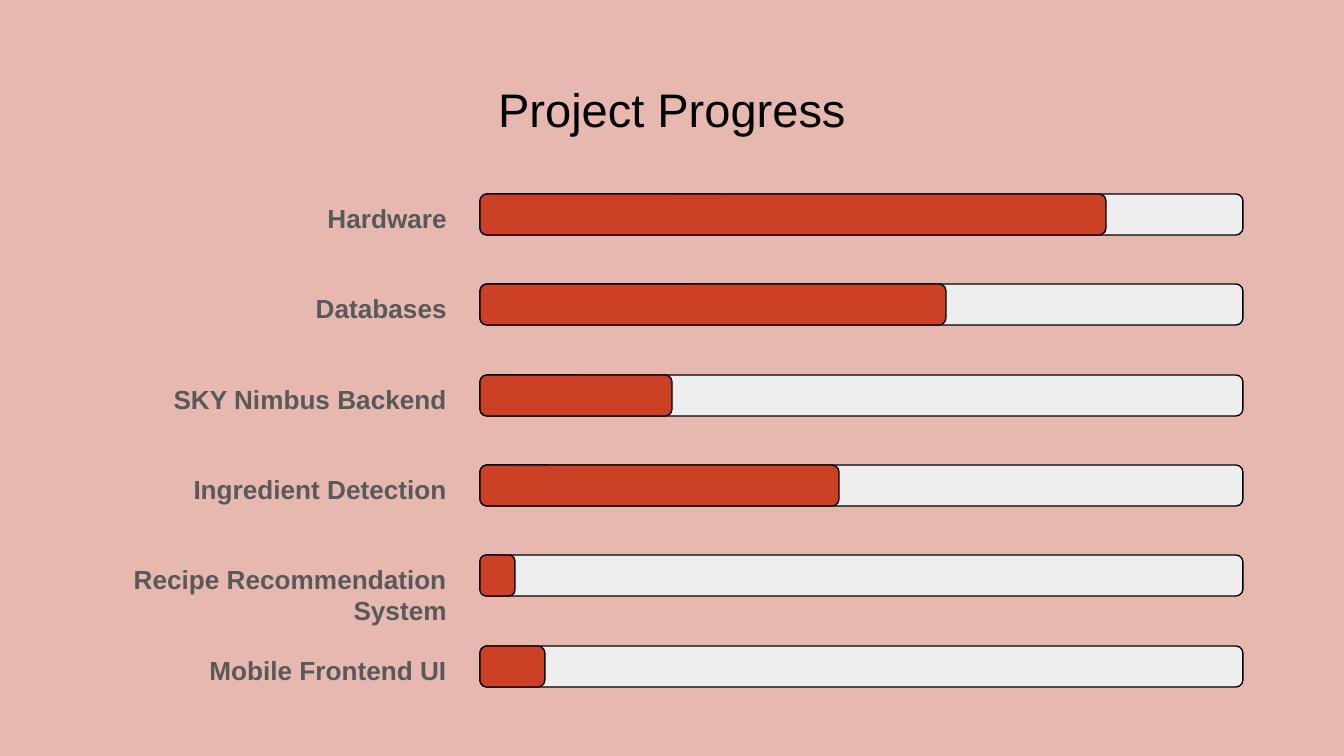
import collections

import pptx
import pptx.dml.color
import pptx.enum.shapes
import pptx.enum.text
import pptx.util

SCALE = pptx.util.Inches(1) / 134.4
Box = collections.namedtuple("Box", "left top width height")
Row = collections.namedtuple("Row", "name done indent")
Theme = collections.namedtuple(
    "Theme", "back track fill edge title label font title_size label_size")

THEME = Theme("E6B8AF", "EEEEEE", "CC4125", "000000", "000000", "595959",
              "Arial", 25.2, 14)
ROWS = [
    Row("Hardware", 626, 55),
    Row("Databases", 466, 55),
    Row("SKY Nimbus Backend", 192, 55),
    Row("Ingredient Detection", 359, 55),
    Row("Recipe Recommendation System", 35, 0),
    Row("Mobile Frontend UI", 65, 0),
]


def px(count):
    """Turn pixels into EMU."""
    return round(count * SCALE)


def place(box):
    """Give the four lengths of a box in EMU."""
    return [px(side) for side in box]


def rgb(code):
    """Turn a hex code into a colour."""
    return pptx.dml.color.RGBColor.from_string(code)


def write(slide, box, text, size, color, align, anchor, bold=False):
    """Add a wrapped text box holding one run."""
    frame = slide.shapes.add_textbox(*place(box)).text_frame
    frame.word_wrap = True
    frame.vertical_anchor = anchor
    frame.margin_left = frame.margin_right = pptx.util.Inches(0.1)
    frame.margin_top = frame.margin_bottom = pptx.util.Inches(0.1)
    para = frame.paragraphs[0]
    para.alignment = align
    run = para.add_run()
    run.text = text
    run.font.name = THEME.font
    run.font.size = pptx.util.Pt(size)
    run.font.bold = bold
    run.font.color.rgb = rgb(color)


def draw_bar(slide, box, color):
    """Add one outlined bar with round corners."""
    kind = pptx.enum.shapes.MSO_SHAPE.ROUNDED_RECTANGLE
    bar = slide.shapes.add_shape(kind, *place(box))
    bar.adjustments[0] = 0.17
    bar.shadow.inherit = False
    bar.fill.solid()
    bar.fill.fore_color.rgb = rgb(color)
    bar.line.color.rgb = rgb(THEME.edge)
    bar.line.width = pptx.util.Pt(0.75)


def draw_title(slide, box):
    """Add the centred heading."""
    write(slide, box, "Project Progress", THEME.title_size, THEME.title,
          pptx.enum.text.PP_ALIGN.CENTER, pptx.enum.text.MSO_ANCHOR.MIDDLE)


def draw_row(slide, box, row):
    """Add a track, its filled part and its label."""
    start = box.left + 434
    track = Box(start, box.top, box.width - 434, 41)
    draw_bar(slide, track, THEME.track)
    draw_bar(slide, track._replace(width=row.done), THEME.fill)
    label = Box(box.left + row.indent, box.top - 5, 414 - row.indent, 51)
    write(slide, label, row.name, THEME.label_size, THEME.label,
          pptx.enum.text.PP_ALIGN.RIGHT, pptx.enum.text.MSO_ANCHOR.TOP, True)


def draw_rows(slide, box):
    """Share the height of the box among the rows."""
    step = box.height / len(ROWS)
    for place_no, row in enumerate(ROWS):
        top = round(box.top + place_no * step)
        draw_row(slide, Box(box.left, top, box.width, step), row)


def main():
    """Build and save the slide."""
    deck = pptx.Presentation()
    deck.slide_width = px(1344)
    deck.slide_height = px(756)
    slide = deck.slides.add_slide(deck.slide_layouts[6])
    slide.background.fill.solid()
    slide.background.fill.fore_color.rgb = rgb(THEME.back)
    draw_title(slide, Box(46, 66, 1252, 85))
    draw_rows(slide, Box(46, 194, 1197, 542))
    deck.save("out.pptx")


if __name__ == "__main__":
    main()
